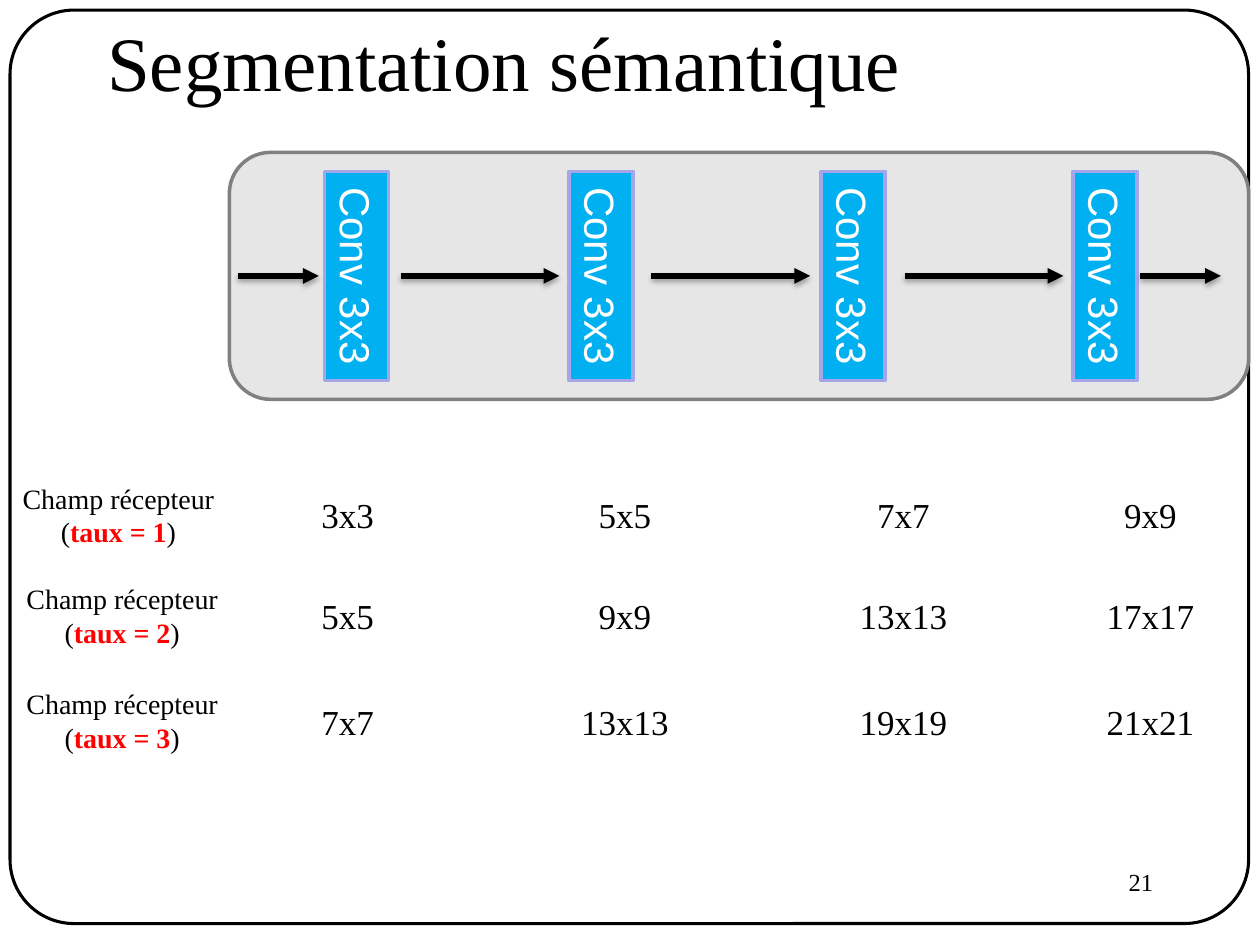
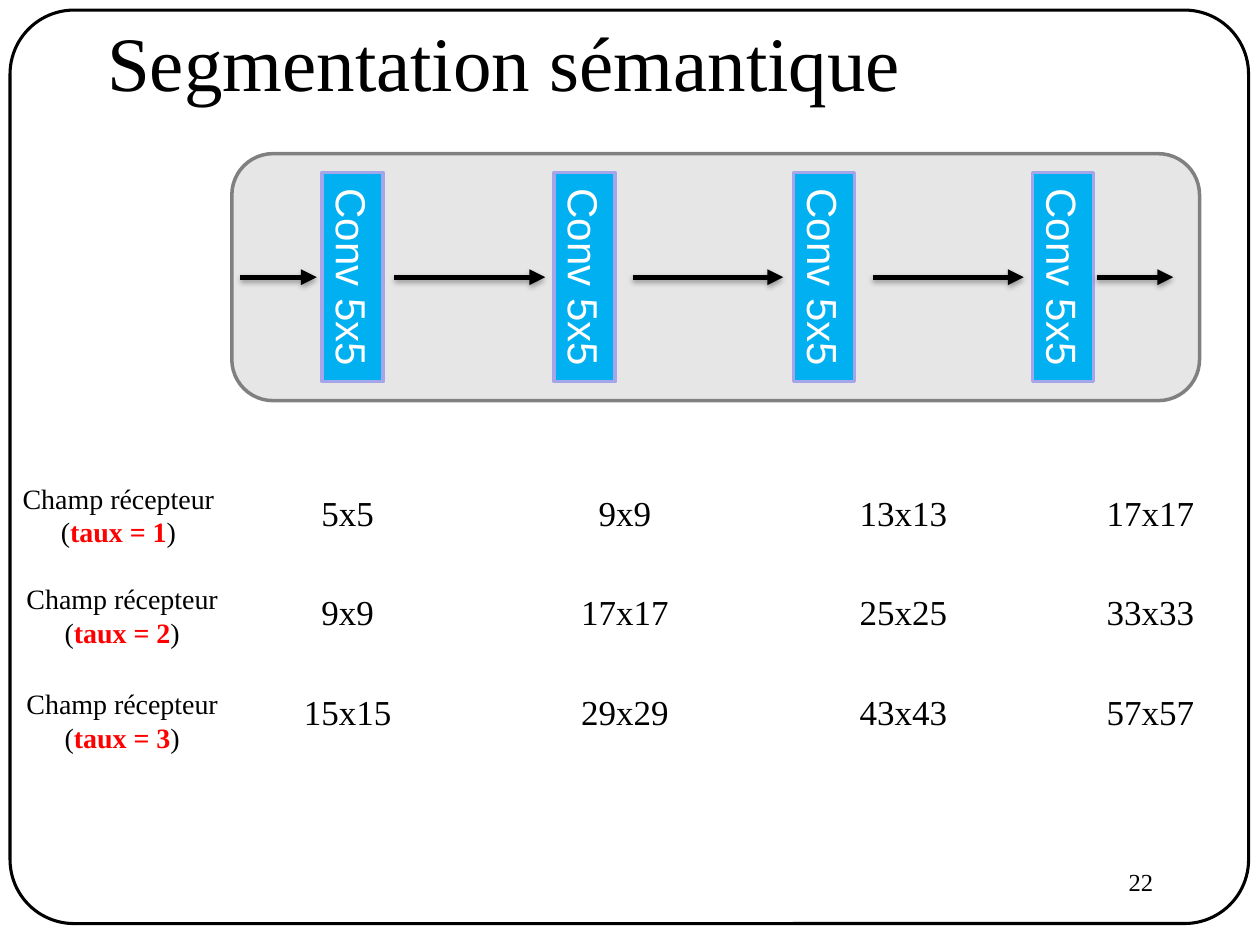
from dataclasses import dataclass

from lxml.etree import SubElement
from pptx import Presentation
from pptx.dml.color import RGBColor
from pptx.enum.shapes import MSO_CONNECTOR, MSO_SHAPE
from pptx.enum.text import MSO_ANCHOR, MSO_AUTO_SIZE, PP_ALIGN
from pptx.oxml import parse_xml
from pptx.oxml.ns import nsdecls, qn
from pptx.util import Pt

PX = 9144
TITLE_ONLY = 5


@dataclass(frozen=True)
class Theme:
    serif: str = "Times New Roman"
    sans: str = "Arial"
    ink: str = "000000"
    accent: str = "FF0000"
    panel: str = "E6E6E6"
    panel_edge: str = "808080"
    block: str = "00B0F0"
    block_edge: str = "A5A5E9"
    block_ink: str = "FFFFFF"
    title_size: int = 44
    block_size: int = 24
    value_size: int = 20
    label_size: int = 16
    number_size: int = 14


THEME = Theme()

PANEL_DESIGN_WIDTH = 809
BLOCK_CENTERS = (101, 295, 495, 695)
BLOCK_LENGTH, BLOCK_THICKNESS = 166, 51
ARROW_SPANS = ((7, 71), (136, 262), (335, 461), (536, 662), (723, 787))

LABEL_BOXES = ((7, 377, 174, 64), (10, 457, 174, 64), (10, 540, 174, 64))
VALUE_CENTERS = (276, 496, 717, 913)
VALUE_WIDTH, VALUE_HEIGHT = 90, 44

SLIDES = (
    {
        "number": "21",
        "kernel": "Conv 3x3",
        "panel": (182, 121, 809, 196),
        "value_tops": (387, 467, 551),
        "fields": (
            ("3x3", "5x5", "7x7", "9x9"),
            ("5x5", "9x9", "13x13", "17x17"),
            ("7x7", "13x13", "19x19", "21x21"),
        ),
    },
    {
        "number": "22",
        "kernel": "Conv 5x5",
        "panel": (184, 122, 768, 196),
        "value_tops": (385, 464, 543),
        "fields": (
            ("5x5", "9x9", "13x13", "17x17"),
            ("9x9", "17x17", "25x25", "33x33"),
            ("15x15", "29x29", "43x43", "57x57"),
        ),
    },
)


def emu(*lengths):
    return [round(length * PX) for length in lengths]


def apply(target, values):
    for name, value in values.items():
        setattr(target, name, value)


def write(paragraph, runs, size, align, font=THEME.serif):
    paragraph.alignment = align
    for text, color, bold in runs:
        run = paragraph.add_run()
        run.text = text
        apply(run.font, {"name": font, "size": Pt(size), "bold": bold})
        run.font.color.rgb = RGBColor.from_string(color)


def add_outlined(shapes, preset, box, fill, edge, width):
    outlined = shapes.add_shape(preset, *emu(*box))
    outlined.shadow.inherit = False
    if fill:
        outlined.fill.solid()
        outlined.fill.fore_color.rgb = RGBColor.from_string(fill)
    else:
        outlined.fill.background()
    outlined.line.color.rgb = RGBColor.from_string(edge)
    outlined.line.width = Pt(width)
    return outlined


def add_caption(slide, box, lines, size):
    frame = slide.shapes.add_textbox(*emu(*box)).text_frame
    apply(frame, {"word_wrap": False, "auto_size": MSO_AUTO_SIZE.SHAPE_TO_FIT_TEXT})
    for index, runs in enumerate(lines):
        paragraph = frame.add_paragraph() if index else frame.paragraphs[0]
        write(paragraph, runs, size, PP_ALIGN.CENTER)


def add_arrow(shapes, start, end, y):
    arrow = shapes.add_connector(MSO_CONNECTOR.STRAIGHT, *emu(start, y, end, y))
    arrow.line.color.rgb = RGBColor.from_string(THEME.ink)
    arrow.line.width = Pt(3)
    SubElement(arrow.line._get_or_add_ln(), qn("a:tailEnd"), type="triangle")
    arrow.element.spPr.append(parse_xml(
        f'<a:effectLst {nsdecls("a")}>'
        '<a:outerShdw blurRad="40000" dist="23000" dir="5400000" rotWithShape="0">'
        f'<a:srgbClr val="{THEME.ink}"><a:alpha val="35000"/></a:srgbClr>'
        '</a:outerShdw></a:effectLst>'))


def add_layout_border(layout, slide):
    border = add_outlined(slide.shapes, MSO_SHAPE.ROUNDED_RECTANGLE,
                          (8, 8, 983, 725), None, THEME.ink, 1.75)
    border.adjustments[0] = 0.07
    layout.shapes.element.insert(2, border.element)


def add_heading(slide, box):
    title = slide.shapes.title
    apply(title, dict(zip(("left", "top", "width", "height"), emu(*box))))
    apply(title.text_frame, {"word_wrap": True, "auto_size": MSO_AUTO_SIZE.NONE,
                             "vertical_anchor": MSO_ANCHOR.MIDDLE})
    write(title.text_frame.paragraphs[0],
          [("Segmentation sémantique", THEME.ink, False)],
          THEME.title_size, PP_ALIGN.LEFT)


def add_page_number(slide, box, number):
    frame = slide.shapes.add_textbox(*emu(*box)).text_frame
    frame.word_wrap = True
    write(frame.paragraphs[0], [(number, THEME.ink, False)],
          THEME.number_size, PP_ALIGN.RIGHT)


def add_network(slide, box, kernel):
    left, top, width, height = box
    scale = width / PANEL_DESIGN_WIDTH
    middle = top + height / 2
    thickness = BLOCK_THICKNESS * scale
    network = slide.shapes.add_group_shape().shapes
    add_outlined(network, MSO_SHAPE.ROUNDED_RECTANGLE, box,
                 THEME.panel, THEME.panel_edge, 2)
    for center in BLOCK_CENTERS:
        block_box = (left + center * scale - BLOCK_LENGTH / 2,
                     middle - thickness / 2, BLOCK_LENGTH, thickness)
        block = add_outlined(network, MSO_SHAPE.RECTANGLE, block_box,
                             THEME.block, THEME.block_edge, 2)
        block.rotation = 90
        apply(block.text_frame, {"word_wrap": False,
                                 "vertical_anchor": MSO_ANCHOR.MIDDLE})
        write(block.text_frame.paragraphs[0], [(kernel, THEME.block_ink, False)],
              THEME.block_size, PP_ALIGN.CENTER, THEME.sans)
    for start, end in ARROW_SPANS:
        add_arrow(network, left + start * scale, left + end * scale, middle)


def add_receptive_fields(slide, value_tops, fields):
    for rate, label_box in enumerate(LABEL_BOXES, start=1):
        lines = (
            [("Champ récepteur", THEME.ink, False)],
            [("(", THEME.ink, False), (f"taux = {rate}", THEME.accent, True),
             (")", THEME.ink, False)],
        )
        add_caption(slide, label_box, lines, THEME.label_size)
    for top, sizes in zip(value_tops, fields):
        for center, size in zip(VALUE_CENTERS, sizes):
            value_box = (center - VALUE_WIDTH / 2, top, VALUE_WIDTH, VALUE_HEIGHT)
            add_caption(slide, value_box, [[(size, THEME.ink, False)]],
                        THEME.value_size)


def build_slide(slide, content):
    add_page_number(slide, (717, 683, 208, 50), content["number"])
    add_heading(slide, (75, -14, 850, 125))
    add_network(slide, content["panel"], content["kernel"])
    add_receptive_fields(slide, content["value_tops"], content["fields"])


def main():
    deck = Presentation()
    deck.slide_width, deck.slide_height = emu(1000, 750)
    layout = deck.slide_layouts[TITLE_ONLY]
    slides = [deck.slides.add_slide(layout) for _ in SLIDES]
    add_layout_border(layout, slides[0])
    for slide, content in zip(slides, SLIDES):
        build_slide(slide, content)
    deck.save("out.pptx")


if __name__ == "__main__":
    main()
